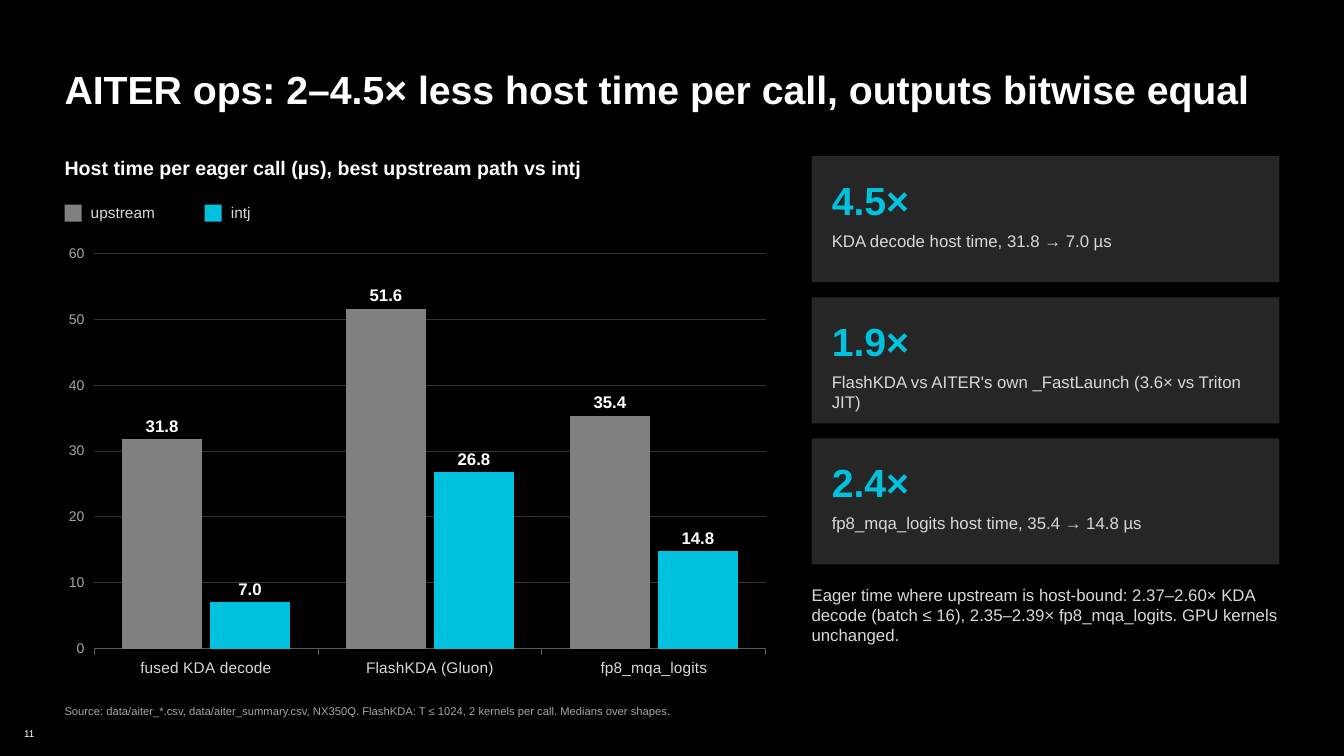
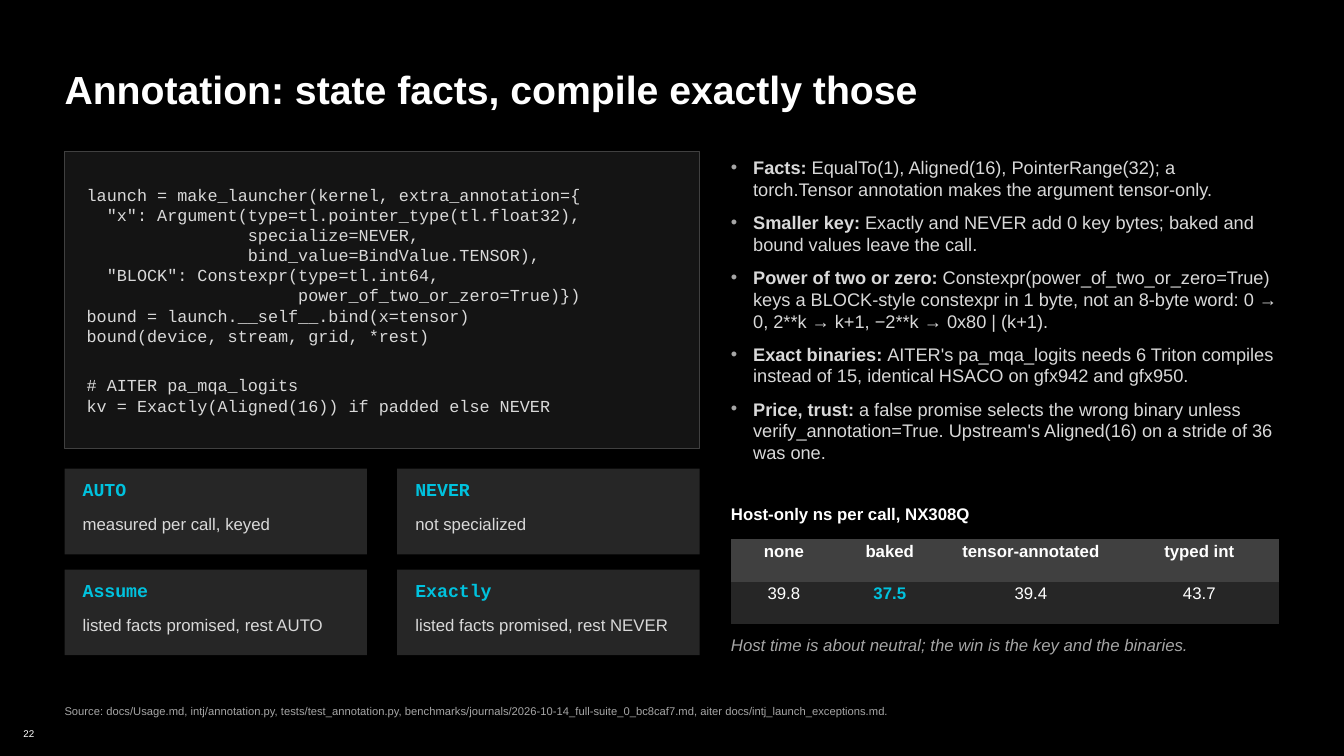
import pptx
import pptx.chart.data
import pptx.dml.color
import pptx.enum.chart
import pptx.enum.shapes
import pptx.enum.text
import pptx.oxml
import pptx.oxml.ns
import pptx.util

PX = 9144  # EMU per px, 100 px to the inch
LEFT, RIGHT = 64, 1269
SANS, MONO = "Arial", "Courier New"
COLORS = {
    "background": "000000", "title": "FFFFFF", "body": "D9D9D9", "muted": "A6A6A6",
    "accent": "00C2DE", "upstream": "808080", "card": "262626", "header": "404040",
    "code": "141414", "axis": "595959", "grid": "333333",
}
ALIGN = pptx.enum.text.PP_ALIGN
ANCHOR = pptx.enum.text.MSO_ANCHOR
PLAIN_TABLE_STYLE = "{2D5ABB26-0587-4C30-8999-92F81FD0307C}"

# Card layouts: padding, then (offset, height) of heading and detail
STAT_CARD = {"pad": 20, "heading": (12, 62), "detail": (74, 42),
             "format": {"size": 28, "anchor": ANCHOR.MIDDLE}}
MODE_CARD = {"pad": 18, "heading": (10, 30), "detail": (45, 35),
             "format": {"size": 13, "font": MONO}}

STATS = [
    ("4.5×", "KDA decode host time, 31.8 → 7.0 µs"),
    ("1.9×", "FlashKDA vs AITER's own _FastLaunch (3.6× vs Triton JIT)"),
    ("2.4×", "fp8_mqa_logits host time, 35.4 → 14.8 µs"),
]
HOST_TIMES = {"upstream": (31.8, 51.6, 35.4), "intj": (7.0, 26.8, 14.8)}
OPS = ["fused KDA decode", "FlashKDA (Gluon)", "fp8_mqa_logits"]
LEGEND = [("upstream", "upstream", 93), ("intj", "accent", 59)]

LAUNCHER_CODE = '''launch = make_launcher(kernel, extra_annotation={
  "x": Argument(type=tl.pointer_type(tl.float32),
                specialize=NEVER,
                bind_value=BindValue.TENSOR),
  "BLOCK": Constexpr(type=tl.int64,
                     power_of_two_or_zero=True)})
bound = launch.__self__.bind(x=tensor)
bound(device, stream, grid, *rest)
# AITER pa_mqa_logits
kv = Exactly(Aligned(16)) if padded else NEVER'''
MODES = [
    ("AUTO", "measured per call, keyed"),
    ("NEVER", "not specialized"),
    ("Assume", "listed facts promised, rest AUTO"),
    ("Exactly", "listed facts promised, rest NEVER"),
]
FACTS = [
    ("Facts: ", "EqualTo(1), Aligned(16), PointerRange(32); a torch.Tensor annotation "
                "makes the argument tensor-only."),
    ("Smaller key: ", "Exactly and NEVER add 0 key bytes; baked and bound values leave the call."),
    ("Power of two or zero: ", "Constexpr(power_of_two_or_zero=True) keys a BLOCK-style constexpr "
                               "in 1 byte, not an 8-byte word: 0 → 0, 2**k → k+1, "
                               "−2**k → 0x80 | (k+1)."),
    ("Exact binaries: ", "AITER's pa_mqa_logits needs 6 Triton compiles instead of 15, "
                         "identical HSACO on gfx942 and gfx950."),
    ("Price, trust: ", "a false promise selects the wrong binary unless verify_annotation=True. "
                       "Upstream's Aligned(16) on a stride of 36 was one."),
]
TIMINGS = [("none", "baked", "tensor-annotated", "typed int"), ("39.8", "37.5", "39.4", "43.7")]


def px(*lengths):
    return [pptx.util.Emu(length * PX) for length in lengths]


def rgb(name):
    return pptx.dml.color.RGBColor.from_string(COLORS[name])


def style_font(font, size, color, name=SANS, bold=False, italic=False):
    font.name, font.size = name, pptx.util.Pt(size)
    font.bold, font.italic = bold, italic
    font.color.rgb = rgb(color)


def write(paragraph, text, size=12, color="body", font=SANS, bold=False, italic=False,
          align=ALIGN.LEFT):
    paragraph.alignment = align
    run = paragraph.add_run()
    run.text = text
    style_font(run.font, size, color, font, bold, italic)


def set_frame(frame, anchor=ANCHOR.TOP, wrap=True):
    frame.margin_left = frame.margin_top = frame.margin_right = frame.margin_bottom = 0
    frame.auto_size = pptx.enum.text.MSO_AUTO_SIZE.NONE
    frame.vertical_anchor, frame.word_wrap = anchor, wrap


def place(placeholder, box):
    placeholder.left, placeholder.top, placeholder.width, placeholder.height = px(*box)


def add_text(slide, box, text, anchor=ANCHOR.TOP, wrap=True, **text_format):
    frame = slide.shapes.add_textbox(*px(*box)).text_frame
    set_frame(frame, anchor, wrap)
    for index, line in enumerate(text.split("\n")):
        paragraph = frame.add_paragraph() if index else frame.paragraphs[0]
        write(paragraph, line, **text_format)
    return frame


def add_panel(slide, box, fill, outline=None):
    panel = slide.shapes.add_shape(pptx.enum.shapes.MSO_SHAPE.RECTANGLE, *px(*box))
    panel.shadow.inherit = False
    panel.fill.solid()
    panel.fill.fore_color.rgb = rgb(fill)
    if outline:
        panel.line.color.rgb = rgb(outline)
        panel.line.width = pptx.util.Pt(1)
    else:
        panel.line.fill.background()


def add_card(slide, box, heading, detail, layout):
    left, top, width, _ = box
    add_panel(slide, box, "card")

    def inner(part):
        offset, height = layout[part]
        return left + layout["pad"], top + offset, width - 2 * layout["pad"], height

    add_text(slide, inner("heading"), heading, color="accent", bold=True, **layout["format"])
    add_text(slide, inner("detail"), detail)


def add_legend(slide, left, top):
    for name, color, width in LEGEND:
        add_panel(slide, (left, top, 17, 17), color)
        add_text(slide, (left + 26, top - 8, width, 32), name, size=11, anchor=ANCHOR.MIDDLE)
        left += 26 + width + 20


def add_column_chart(slide, box):
    data = pptx.chart.data.CategoryChartData(number_format="0.0")
    data.categories = OPS
    for name, values in HOST_TIMES.items():
        data.add_series(name, values)
    kind = pptx.enum.chart.XL_CHART_TYPE.COLUMN_CLUSTERED
    chart = slide.shapes.add_chart(kind, *px(*box), data).chart
    chart.has_legend = chart.has_title = False
    style_font(chart.font, 11, "body")

    # Columns and their labels
    plot = chart.plots[0]
    plot.gap_width, plot.overlap, plot.vary_by_categories = 70, -10, False
    for series, (_, color, _) in zip(plot.series, LEGEND):
        series.format.fill.solid()
        series.format.fill.fore_color.rgb = rgb(color)
    plot.has_data_labels = True
    labels = plot.data_labels
    labels.show_value = True
    labels.number_format, labels.number_format_is_linked = "0.0", False
    labels.position = pptx.enum.chart.XL_LABEL_POSITION.OUTSIDE_END
    style_font(labels.font, 12, "title", bold=True)

    # Axes
    ops, times = chart.category_axis, chart.value_axis
    style_font(ops.tick_labels.font, 11, "body")
    style_font(times.tick_labels.font, 10, "muted")
    times.tick_labels.number_format, times.tick_labels.number_format_is_linked = "0", False
    times.minimum_scale, times.maximum_scale, times.major_unit = 0, 60, 10
    times.format.line.fill.background()
    for line, color in ((ops.format.line, "axis"), (times.major_gridlines.format.line, "grid")):
        line.color.rgb = rgb(color)
        line.width = pptx.util.Pt(0.75)


def add_bullet(paragraph):
    properties = paragraph._p.get_or_add_pPr()
    properties.set("marL", str(22 * PX))
    properties.set("indent", str(-22 * PX))
    namespace = pptx.oxml.ns.nsdecls("a")
    for xml in (f'<a:buClr {namespace}><a:srgbClr val="{COLORS["muted"]}"/></a:buClr>',
                f'<a:buChar {namespace} char="•"/>'):
        properties.append(pptx.oxml.parse_xml(xml))


def fill_list(body, box, items):
    place(body, box)
    frame = body.text_frame
    set_frame(frame)
    for index, (term, explanation) in enumerate(items):
        paragraph = frame.add_paragraph() if index else frame.paragraphs[0]
        add_bullet(paragraph)
        paragraph.space_before = pptx.util.Pt(0)
        paragraph.space_after = pptx.util.Pt(8 if index < len(items) - 1 else 0)
        write(paragraph, term, size=13, bold=True)
        write(paragraph, explanation, size=13)


def add_timing_table(slide, left, top, widths, row_height):
    box = px(left, top, sum(widths), row_height * len(TIMINGS))
    table = slide.shapes.add_table(len(TIMINGS), len(widths), *box).table
    table.first_row = table.horz_banding = False
    table._tbl.tblPr.find(pptx.oxml.ns.qn("a:tableStyleId")).text = PLAIN_TABLE_STYLE
    for column, width in zip(table.columns, widths):
        column.width = px(width)[0]
    for row, texts in enumerate(TIMINGS):
        table.rows[row].height = px(row_height)[0]
        for column, text in enumerate(texts):
            cell = table.cell(row, column)
            cell.margin_left, cell.margin_right, cell.margin_top, cell.margin_bottom = px(8, 8, 3, 3)
            cell.fill.solid()
            cell.fill.fore_color.rgb = rgb("card" if row else "header")
            best = text == "37.5"
            write(cell.text_frame.paragraphs[0], text, color="accent" if best else "title",
                  bold=best or row == 0, align=ALIGN.CENTER)


def start_slide(deck, layout, title, number, source):
    slide = deck.slides.add_slide(deck.slide_layouts.get_by_name(layout))
    heading = slide.shapes.title
    place(heading, (LEFT, 65, RIGHT - LEFT, 47))
    set_frame(heading.text_frame)
    write(heading.text_frame.paragraphs[0], title, size=28, color="title", bold=True)
    add_text(slide, (21, 717, 13, 21), number, size=7, color="title", anchor=ANCHOR.MIDDLE,
             wrap=False, align=ALIGN.RIGHT)
    add_text(slide, (LEFT, 693, 1090, 25), source, size=8, color="muted", anchor=ANCHOR.MIDDLE)
    return slide


def build_results(deck):
    slide = start_slide(
        deck, "Title Only", "AITER ops: 2–4.5× less host time per call, outputs bitwise equal", "11",
        "Source: data/aiter_*.csv, data/aiter_summary.csv, NX350Q. FlashKDA: T ≤ 1024, "
        "2 kernels per call. Medians over shapes.")
    # Chart side
    add_text(slide, (LEFT, 155, 700, 35), "Host time per eager call (µs), best upstream path vs intj",
             size=14, color="title", bold=True)
    add_legend(slide, LEFT, 203)
    add_column_chart(slide, (54, 235, 720, 445))

    # Speed-up cards
    left, width = 805, RIGHT - 805
    for index, (factor, detail) in enumerate(STATS):
        add_card(slide, (left, 155 + index * 140, width, 125), factor, detail, STAT_CARD)
    add_text(slide, (left, 580, width, 95),
             "Eager time where upstream is host-bound: 2.37–2.60× KDA decode (batch ≤ 16), "
             "2.35–2.39× fp8_mqa_logits. GPU kernels unchanged.")


def build_annotation(deck):
    slide = start_slide(
        deck, "Title and Content", "Annotation: state facts, compile exactly those", "22",
        "Source: docs/Usage.md, intj/annotation.py, tests/test_annotation.py, "
        "benchmarks/journals/2026-10-14_full-suite_0_bc8caf7.md, "
        "aiter docs/intj_launch_exceptions.md.")
    # Code
    add_panel(slide, (LEFT, 150, 630, 295), "code", outline="header")
    code = add_text(slide, (LEFT + 22, 162, 586, 271), LAUNCHER_CODE, font=MONO,
                    anchor=ANCHOR.MIDDLE)
    code.paragraphs[-2].space_before = pptx.util.Pt(21)

    # Specialization modes
    for index, (mode, meaning) in enumerate(MODES):
        row, column = divmod(index, 2)
        add_card(slide, (LEFT + column * 330, 465 + row * 100, 300, 85), mode, meaning, MODE_CARD)

    # Facts and timings
    left, width = 725, RIGHT - 725
    fill_list(slide.placeholders[1], (left, 155, width, 330), FACTS)
    add_text(slide, (left, 500, width, 30), "Host-only ns per call, NX308Q", color="title", bold=True)
    add_timing_table(slide, left, 535, (105, 105, 175, 159), 42)
    add_text(slide, (left, 630, width, 45),
             "Host time is about neutral; the win is the key and the binaries.",
             color="muted", italic=True)


def main():
    deck = pptx.Presentation()
    deck.slide_width, deck.slide_height = px(1333, 750)
    backdrop = deck.slide_master.background.fill
    backdrop.solid()
    backdrop.fore_color.rgb = rgb("background")
    build_results(deck)
    build_annotation(deck)
    deck.save("out.pptx")


if __name__ == "__main__":
    main()
